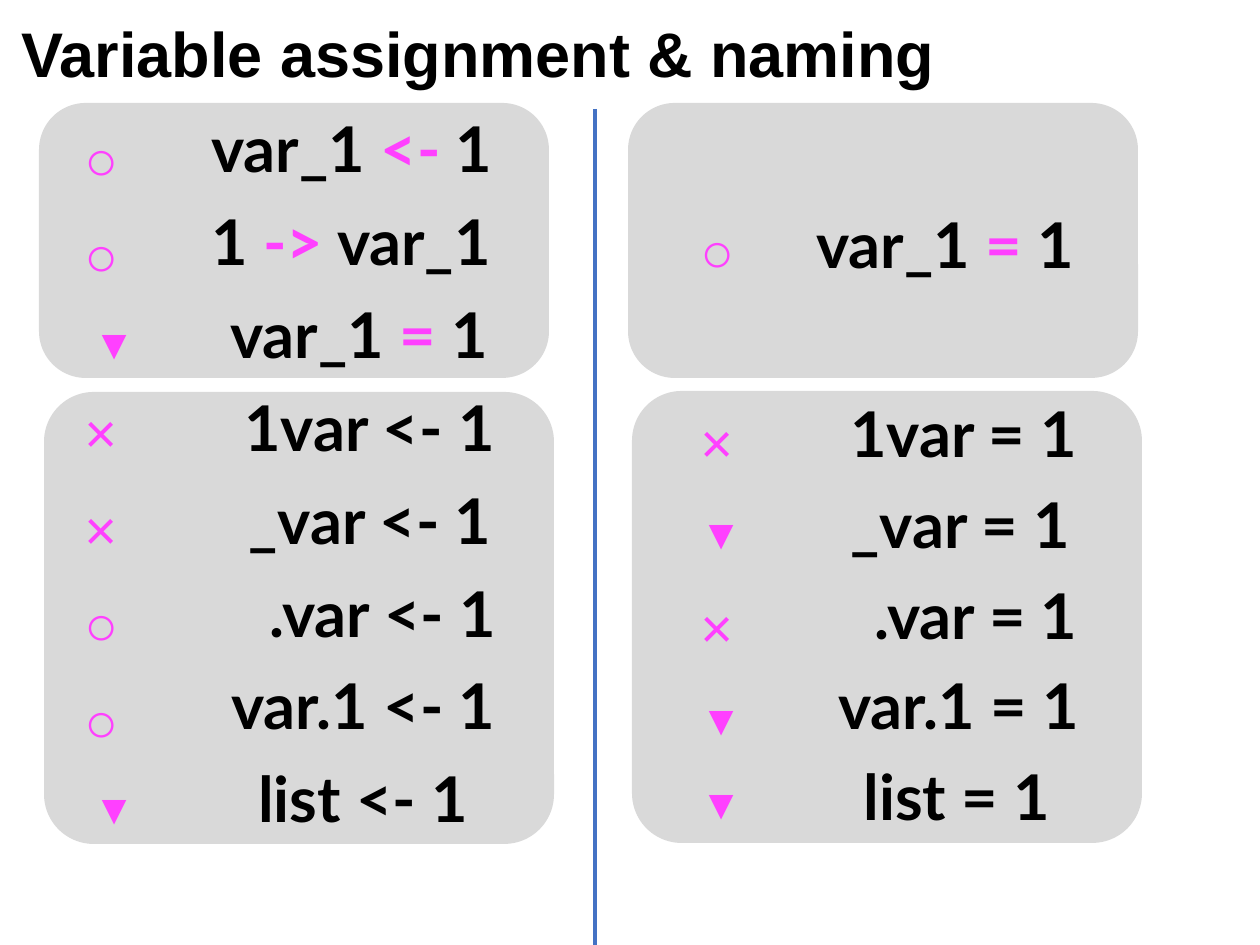
from lxml import etree
from pptx import Presentation
from pptx.dml.color import RGBColor
from pptx.enum.shapes import MSO_CONNECTOR, MSO_SHAPE
from pptx.enum.text import MSO_AUTO_SIZE
from pptx.oxml.ns import qn
from pptx.util import Emu, Pt

ROUNDED = MSO_SHAPE.ROUNDED_RECTANGLE
STRAIGHT = MSO_CONNECTOR.STRAIGHT
FIT_TEXT = MSO_AUTO_SIZE.SHAPE_TO_FIT_TEXT

BLACK = RGBColor(0x00, 0x00, 0x00)
PINK = RGBColor(0xFF, 0x40, 0xFF)
GRAY = RGBColor(0xD9, 0xD9, 0xD9)
BLUE = RGBColor(0x44, 0x72, 0xC4)

PX_PER_INCH = 126
CODE_HEIGHT = 89
PANEL_WIDTH = 510
YES, NO, WARNING = "○", "×", "▼"

# left, top, height, corner
PANELS = [
    (632, 391, 452, 0.11),
    (44, 392, 452, 0.11),
    (628, 103, 275, 0.17),
    (39, 103, 275, 0.17),
]

# mark, mark top, code width, code runs
R_ROWS = [
    (YES, 118, 314, [("var_1 ", BLACK), ("<-", PINK), (" 1", BLACK)]),
    (YES, 214, 314, [("1 ", BLACK), ("->", PINK), (" var_1", BLACK)]),
    (WARNING, 311, 295, [("var_1", BLACK), (" = ", PINK), ("1", BLACK)]),
    (NO, 391, 281, [("1var <- 1", BLACK)]),
    (NO, 488, 277, [("_var <- 1", BLACK)]),
    (YES, 583, 256, [(".var <- 1", BLACK)]),
    (YES, 680, 294, [("var.1 <- 1", BLACK)]),
    (WARNING, 776, 267, [("list <- 1", BLACK)]),
]
PYTHON_ASSIGNMENT = [
    (YES, 210, 295, [("var_1", BLACK), (" = ", PINK), ("1", BLACK)]),
]
PYTHON_NAMING = [
    (NO, 401, 261, [("1var = 1", BLACK)]),
    (WARNING, 501, 261, [("_var = 1", BLACK)]),
    (NO, 586, 237, [(".var = 1", BLACK)]),
    (WARNING, 687, 273, [("var.1 = 1", BLACK)]),
    (WARNING, 771, 248, [("list = 1", BLACK)]),
]


def px(length):
    return Emu(round(length * 914400 / PX_PER_INCH))


def add_panel(slide, left, top, height, corner):
    shape = slide.shapes.add_shape(
        ROUNDED, px(left), px(top), px(PANEL_WIDTH), px(height))
    shape.adjustments[0] = corner
    shape.shadow.inherit = False
    shape.fill.solid()
    shape.fill.fore_color.rgb = GRAY
    shape.line.fill.background()


def add_text(slide, box, runs, size, font_name, bold):
    text_frame = slide.shapes.add_textbox(*map(px, box)).text_frame
    text_frame.word_wrap = False
    text_frame.auto_size = FIT_TEXT
    paragraph = text_frame.paragraphs[0]
    for text, color in runs:
        run = paragraph.add_run()
        run.text = text
        run.font.size = Pt(size)
        run.font.name = font_name
        run.font.bold = bold
        run.font.color.rgb = color


def add_mark(slide, mark, top, left, warning_left):
    if mark == WARNING:
        box, size = (warning_left, top, 79, 63), 24
    else:
        box, size = (left, top, 98, 81), 32
    add_text(slide, box, [(mark, PINK)], size, "Arial", False)


def add_rows(slide, rows, first_top, pitch, code_right, mark_left, warning_left):
    """Place code lines at an even pitch, their boxes ending at code_right."""
    for index, (mark, mark_top, width, runs) in enumerate(rows):
        top = round(first_top + index * pitch)
        add_text(slide, (code_right - width, top, width, CODE_HEIGHT),
                 runs, 36, "Lato", True)
        add_mark(slide, mark, mark_top, mark_left, warning_left)


def add_divider(slide, x, top, bottom):
    line = slide.shapes.add_connector(STRAIGHT, px(x), px(top), px(x), px(bottom))
    line.line.color.rgb = BLUE
    line.line.width = Pt(2)
    etree.SubElement(line._element.spPr, qn("a:effectLst"))


def main():
    presentation = Presentation()
    presentation.slide_width = px(1260)
    presentation.slide_height = px(945)
    slide = presentation.slides.add_slide(presentation.slide_layouts[6])

    for panel in PANELS:
        add_panel(slide, *panel)
    add_text(slide, (9, 8, 948, CODE_HEIGHT),
             [("Variable assignment & naming", BLACK)], 36, "Arial", True)
    add_rows(slide, R_ROWS, 103, 92.9, 513, 72, 81)
    add_rows(slide, PYTHON_ASSIGNMENT, 199, 0, 1099, 688, 688)
    add_rows(slide, PYTHON_NAMING, 388, 90.75, 1099, 688, 688)
    add_divider(slide, 595, 109, 945)

    presentation.save("out.pptx")


if __name__ == "__main__":
    main()
